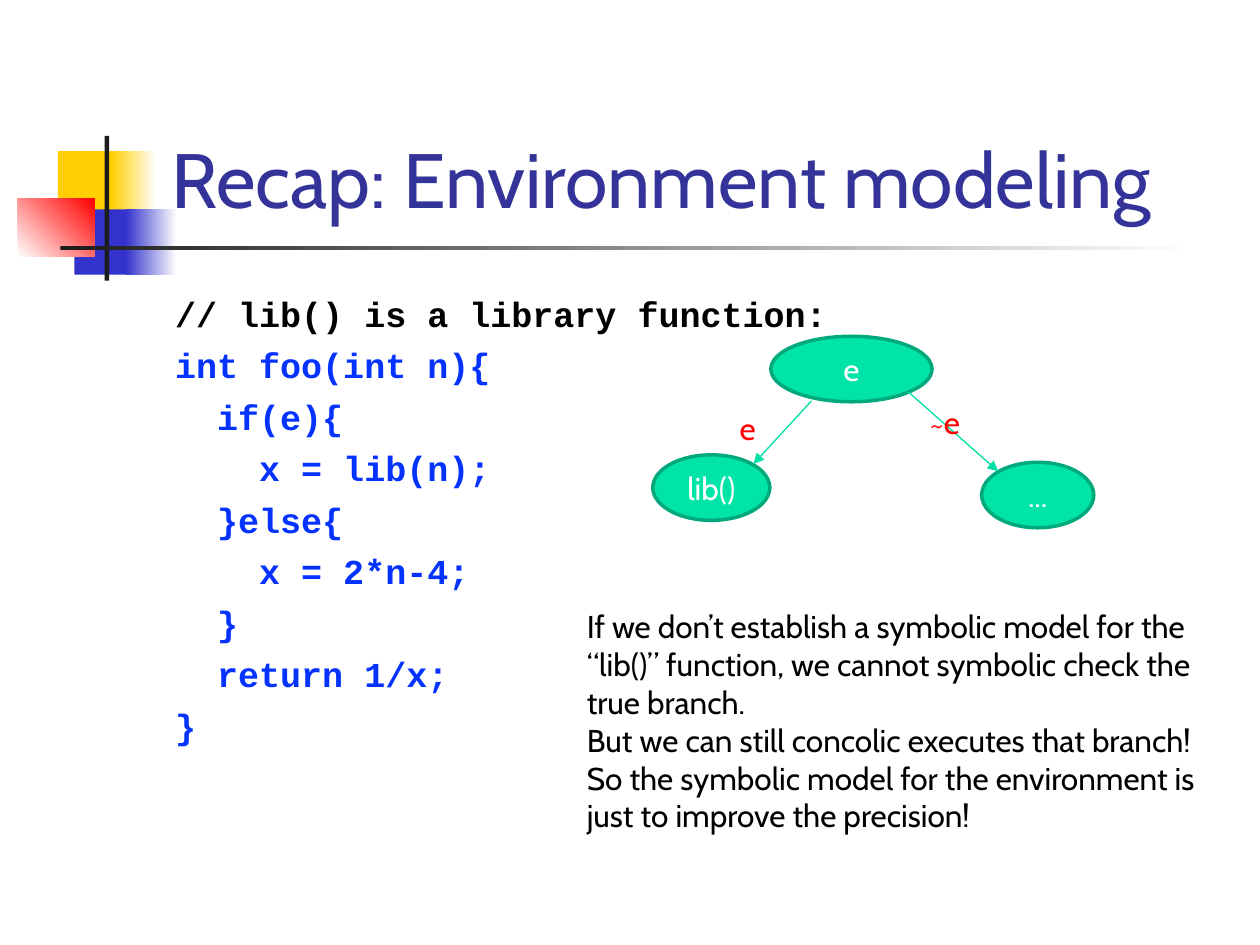
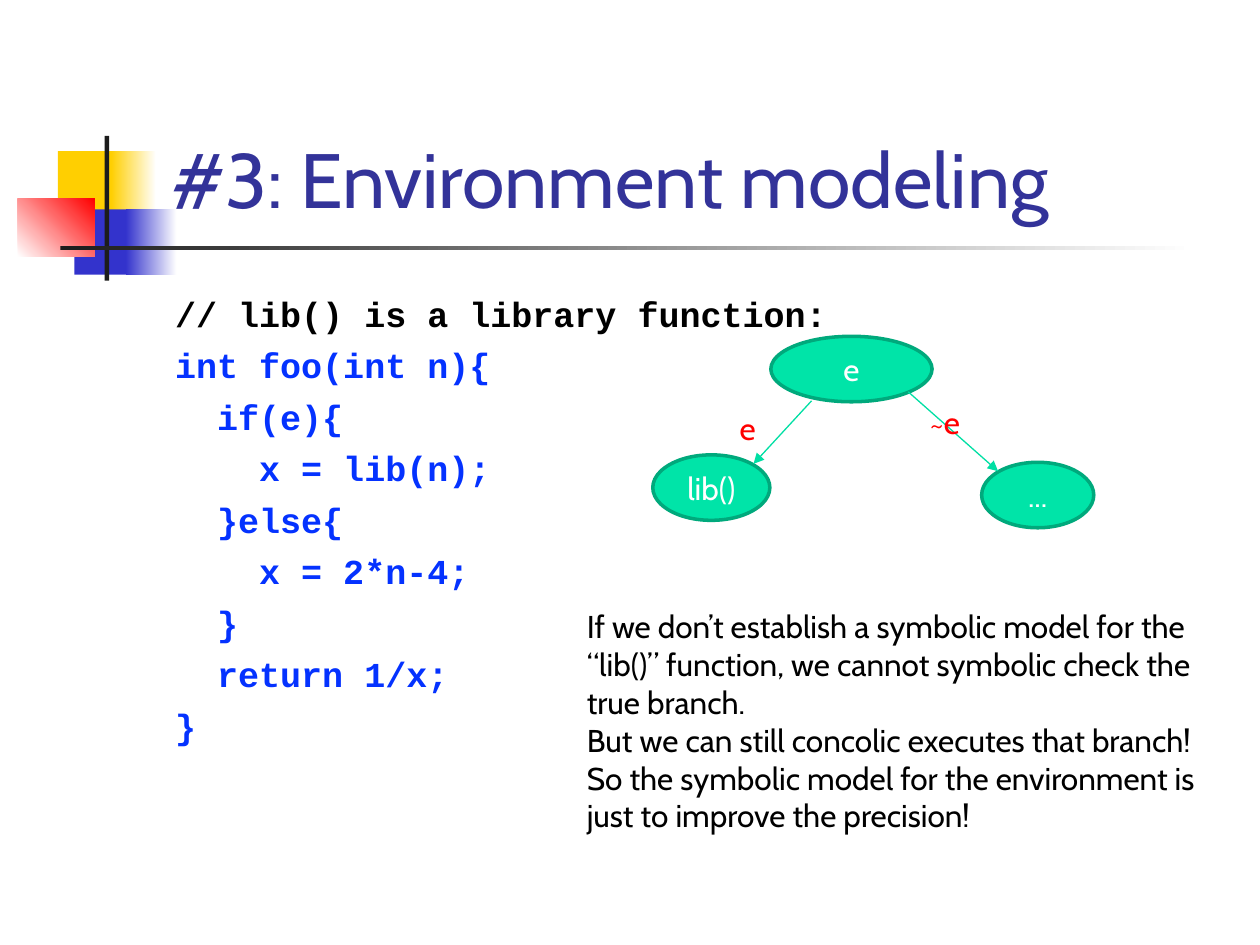
"""Build two slides on environment modeling in symbolic execution."""
from dataclasses import dataclass

from lxml.etree import SubElement
from pptx import Presentation
from pptx.dml.color import RGBColor
from pptx.enum.shapes import MSO_CONNECTOR, MSO_SHAPE
from pptx.enum.text import MSO_ANCHOR, PP_ALIGN
from pptx.oxml.ns import qn
from pptx.util import Cm, Pt


@dataclass(frozen=True)
class Theme:
    yellow: str = "FFCF01"
    blue: str = "3333CC"
    red: str = "FF0000"
    dark: str = "1C1C1C"
    white: str = "FFFFFF"
    black: str = "000000"
    title: str = "333399"
    code: str = "0432FF"
    node: str = "00E4A8"
    node_edge: str = "00A97C"
    arrow: str = "00DFA4"
    text_font: str = "Cabin"
    code_font: str = "Courier New"
    title_size: int = 44
    code_size: int = 20
    text_size: int = 18


theme = Theme()

titles = ["Recap: Environment modeling", "#3: Environment modeling"]

ornaments = [
    ((1.17, 3.05, 1.22, 1.32), [theme.yellow], 0),
    ((2.24, 3.05, 0.91, 1.32), [theme.yellow, theme.white], 0),
    ((1.5, 4.22, 1.17, 1.32), [theme.blue], 0),
    ((2.54, 4.22, 1.02, 1.32), [theme.blue, theme.white], 0),
    ((0.36, 4.01, 1.55, 1.17), [theme.white, theme.red], 45),
    ((2.11, 2.74, 0.09, 2.92), [theme.dark], 0),
    ((1.22, 4.95, 22.86, 0.09), [theme.dark, theme.white], 0),
]

code_lines = [
    "// lib() is a library function:",
    "int foo(int n){",
    "  if(e){",
    "    x = lib(n);",
    "  }else{",
    "    x = 2*n-4;",
    "  }",
    "  return 1/x;",
    "}",
]

tree_nodes = [
    ("e", (15.54, 6.78, 3.25, 1.32)),
    ("lib()", (13.16, 9.17, 2.36, 1.32)),
    ("...", (19.79, 9.32, 2.26, 1.32)),
]
branches = [(16.36, 8.08, 15.19, 9.35), (18.31, 7.9, 20.12, 9.5)]
conditions = [("e", (14.66, 8.13, 2.26, 1.02)), ("~e", (18.49, 8, 2.26, 1.02))]

explanation_lines = [
    "If we don’t establish a symbolic model for the “lib()” function, "
    "we cannot symbolic check the true branch.",
    "But we can still concolic executes that branch!",
    "So the symbolic model for the environment is just to improve the precision!",
]


def write(shape, lines, color, size=theme.text_size, font=theme.text_font):
    frame = shape.text_frame
    frame.word_wrap = True
    frame.text = "\n".join(lines)
    for paragraph in frame.paragraphs:
        for run in paragraph.runs:
            run.font.name = font
            run.font.size = Pt(size)
            run.font.color.rgb = RGBColor.from_string(color)
    return frame


def add_plain_shape(slide, preset, box, colors, angle=0):
    shape = slide.shapes.add_shape(preset, *map(Cm, box))
    shape.shadow.inherit = False
    shape.line.fill.background()
    if len(colors) == 1:
        shape.fill.solid()
        shape.fill.fore_color.rgb = RGBColor.from_string(colors[0])
    else:
        shape.fill.gradient()
        shape.fill.gradient_angle = angle
        for stop, color in zip(shape.fill.gradient_stops, colors):
            stop.color.rgb = RGBColor.from_string(color)
    return shape


deck = Presentation()
deck.slide_width, deck.slide_height = Cm(25.4), Cm(19.05)

for title in titles:
    slide = deck.slides.add_slide(deck.slide_layouts[6])

    for box, colors, angle in ornaments:
        add_plain_shape(slide, MSO_SHAPE.RECTANGLE, box, colors, angle)

    heading = slide.shapes.add_textbox(Cm(3.2), Cm(0.58), Cm(21.64), Cm(4.06))
    write(heading, [title], theme.title, theme.title_size)
    heading.text_frame.vertical_anchor = MSO_ANCHOR.BOTTOM

    listing = slide.shapes.add_textbox(Cm(3.28), Cm(5.77), Cm(21.59), Cm(11.3))
    code = write(listing, code_lines, theme.code, theme.code_size, theme.code_font)
    for paragraph in code.paragraphs:
        paragraph.runs[0].font.bold = True
    for paragraph in code.paragraphs[1:]:
        paragraph.space_before = Pt(5.4)
    code.paragraphs[0].runs[0].font.color.rgb = RGBColor.from_string(theme.black)

    for label, box in tree_nodes:
        node = add_plain_shape(slide, MSO_SHAPE.OVAL, box, [theme.node])
        node.line.color.rgb = RGBColor.from_string(theme.node_edge)
        node.line.width = Pt(2)
        caption = write(node, [label], theme.white)
        caption.vertical_anchor = MSO_ANCHOR.MIDDLE
        caption.paragraphs[0].alignment = PP_ALIGN.CENTER

    for ends in branches:
        branch = slide.shapes.add_connector(MSO_CONNECTOR.STRAIGHT, *map(Cm, ends))
        branch.line.color.rgb = RGBColor.from_string(theme.arrow)
        branch.line.width = Pt(0.75)
        SubElement(branch.line._get_or_add_ln(), qn("a:tailEnd"), type="triangle")
        SubElement(branch._element.spPr, qn("a:effectLst"))

    for condition, box in conditions:
        write(slide.shapes.add_textbox(*map(Cm, box)), [condition], theme.red)

    explanation = slide.shapes.add_textbox(Cm(11.58), Cm(12.12), Cm(13.28), Cm(5.64))
    write(explanation, explanation_lines, theme.black)

deck.save("out.pptx")
